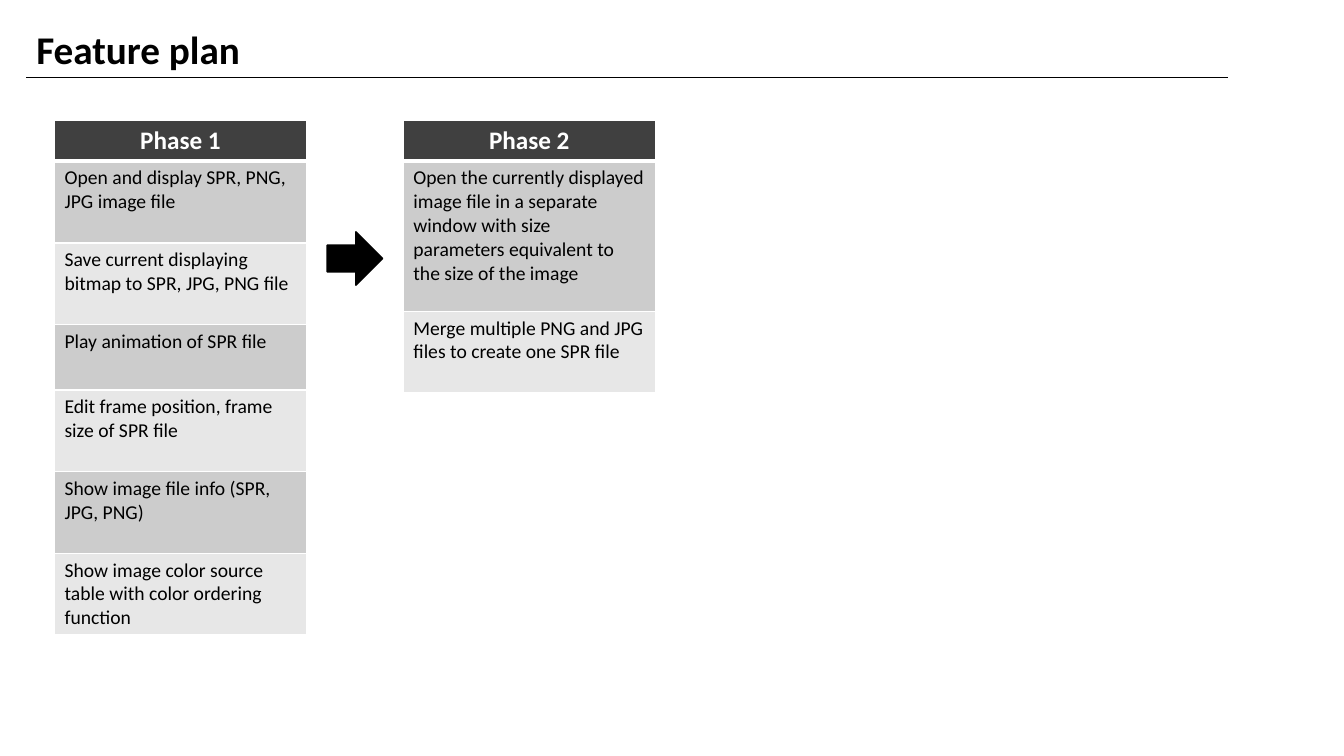
from dataclasses import dataclass

from lxml.etree import SubElement
from pptx import Presentation
from pptx.dml.color import RGBColor
from pptx.enum.shapes import MSO_CONNECTOR, MSO_SHAPE
from pptx.enum.text import MSO_ANCHOR, MSO_AUTO_SIZE, PP_ALIGN
from pptx.oxml.ns import qn
from pptx.util import Inches, Pt


@dataclass(frozen=True)
class Theme:
    font: str = "Calibri"
    ink: str = "000000"
    paper: str = "FFFFFF"
    header: str = "404040"
    bands: tuple = ("CCCCCC", "E7E7E7")
    title_pt: int = 28
    header_pt: int = 18
    body_pt: int = 14


THEME = Theme()
MARGIN, RULE_TOP, RULE_END = 0.26, 0.77, 12.18
GRID_LEFT, GRID_TOP, COL_WIDTH, COL_GAP = 0.54, 1.19, 2.5, 0.96
HEADER_ROW, ROW = 0.41, 0.81

PHASES = [
    ("Phase 1", [
        ("Open and display SPR, PNG, JPG image file", ROW),
        ("Save current displaying bitmap to SPR, JPG, PNG file", ROW),
        ("Play animation of SPR file", 0.65),
        ("Edit frame position, frame size of SPR file", ROW),
        ("Show image file info (SPR, JPG, PNG)", ROW),
        ("Show image color source table with color ordering function", ROW),
    ]),
    ("Phase 2", [
        ("Open the currently displayed image file in a separate window with "
         "size parameters equivalent to the size of the image", 1.49),
        ("Merge multiple PNG and JPG files to create one SPR file", ROW),
    ]),
]


def rgb(color):
    return RGBColor.from_string(color)


def column_left(col):
    return GRID_LEFT + col * (COL_WIDTH + COL_GAP)


def format_text(tf, size, color, bold=False, align=PP_ALIGN.LEFT):
    p = tf.paragraphs[0]
    p.alignment = align
    p.font.name = THEME.font
    p.font.size = Pt(size)
    p.font.bold = bold
    p.font.color.rgb = rgb(color)


def add_title(s, text):
    sp = s.shapes.title
    sp.left, sp.top = Inches(MARGIN), Inches(0.2)
    sp.width, sp.height = Inches(2.25), Inches(RULE_TOP - 0.2)
    tf = sp.text_frame
    tf.text = text
    tf.word_wrap = False
    tf.auto_size = MSO_AUTO_SIZE.NONE
    tf.vertical_anchor = MSO_ANCHOR.TOP
    format_text(tf, THEME.title_pt, THEME.ink, bold=True)


def add_rule(s):
    y = Inches(RULE_TOP)
    line = s.shapes.add_connector(
        MSO_CONNECTOR.STRAIGHT, Inches(MARGIN), y, Inches(RULE_END), y)
    line.line.color.rgb = rgb(THEME.ink)
    line.line.width = Pt(0.5)
    SubElement(line._element.spPr, qn("a:effectLst"))


def set_borders(cell, bottom):
    tc_pr = cell._tc.get_or_add_tcPr()
    for side, width in (("L", 1), ("R", 1), ("T", 1), ("B", bottom)):
        ln = SubElement(tc_pr, qn(f"a:ln{side}"), w=str(Pt(width)))
        fill = SubElement(ln, qn("a:solidFill"))
        SubElement(fill, qn("a:srgbClr"), val=THEME.paper)


def fill_cell(cell, text, fill, bottom=1):
    set_borders(cell, bottom)
    cell.fill.solid()
    cell.fill.fore_color.rgb = rgb(fill)
    cell.text_frame.text = text


def add_phase(s, col, name, features):
    heights = [HEADER_ROW] + [height for _, height in features]
    table = s.shapes.add_table(
        len(heights), 1, Inches(column_left(col)), Inches(GRID_TOP),
        Inches(COL_WIDTH), Inches(sum(heights))).table
    for row, height in zip(table.rows, heights):
        row.height = Inches(height)
    header = table.cell(0, 0)
    fill_cell(header, name, THEME.header, bottom=3)
    format_text(header.text_frame, THEME.header_pt, THEME.paper,
                bold=True, align=PP_ALIGN.CENTER)
    for i, (text, _) in enumerate(features):
        cell = table.cell(i + 1, 0)
        fill_cell(cell, text, THEME.bands[i % 2])
        format_text(cell.text_frame, THEME.body_pt, THEME.ink)


def add_arrow(s, col):
    width, height = 0.55, 0.53
    left = column_left(col) - (COL_GAP + width) / 2
    sp = s.shapes.add_shape(MSO_SHAPE.RIGHT_ARROW, Inches(left), Inches(2.3),
                            Inches(width), Inches(height))
    sp.shadow.inherit = False
    sp.fill.solid()
    sp.fill.fore_color.rgb = rgb(THEME.ink)
    sp.line.color.rgb = rgb(THEME.ink)
    sp.line.width = Pt(1)


def main():
    prs = Presentation()
    prs.slide_width, prs.slide_height = Inches(13.33), Inches(7.5)
    s = prs.slides.add_slide(prs.slide_layouts[5])
    add_title(s, "Feature plan")
    add_rule(s)
    for col, (name, features) in enumerate(PHASES):
        add_phase(s, col, name, features)
        if col:
            add_arrow(s, col)
    prs.save("out.pptx")


main()
